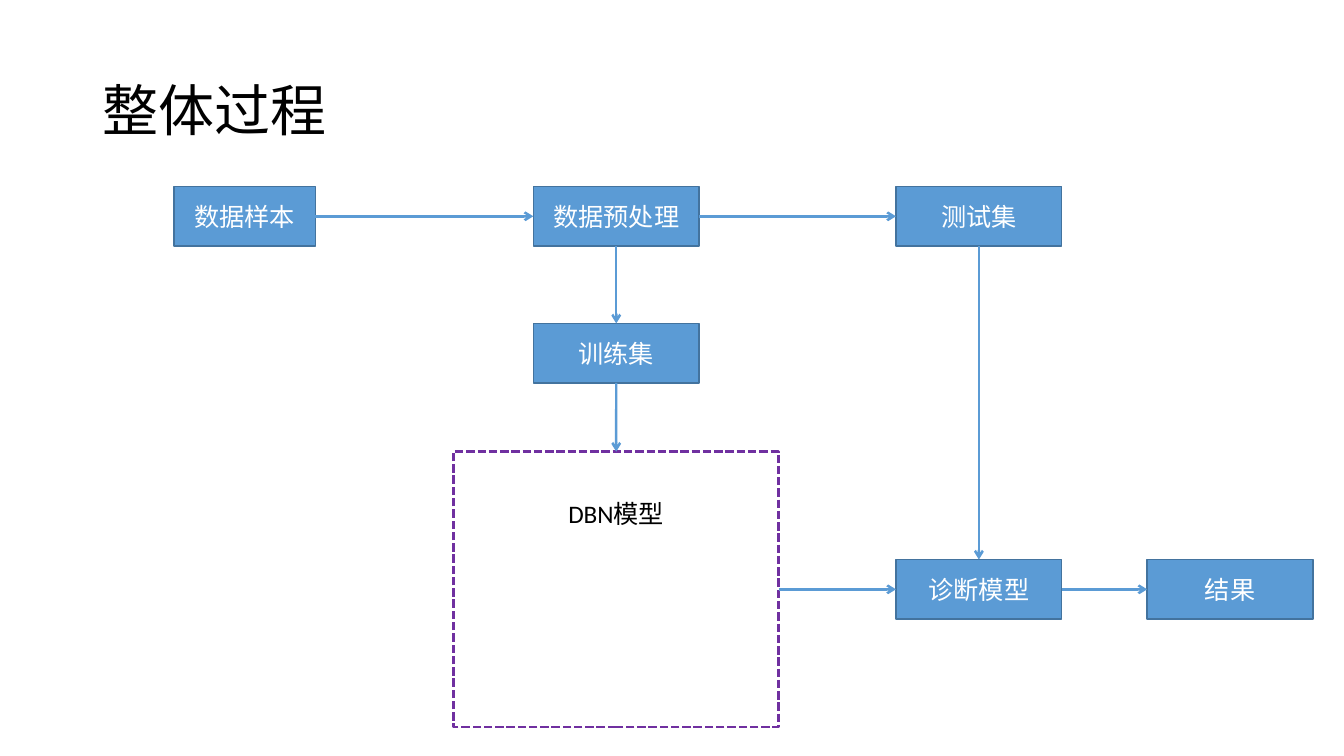
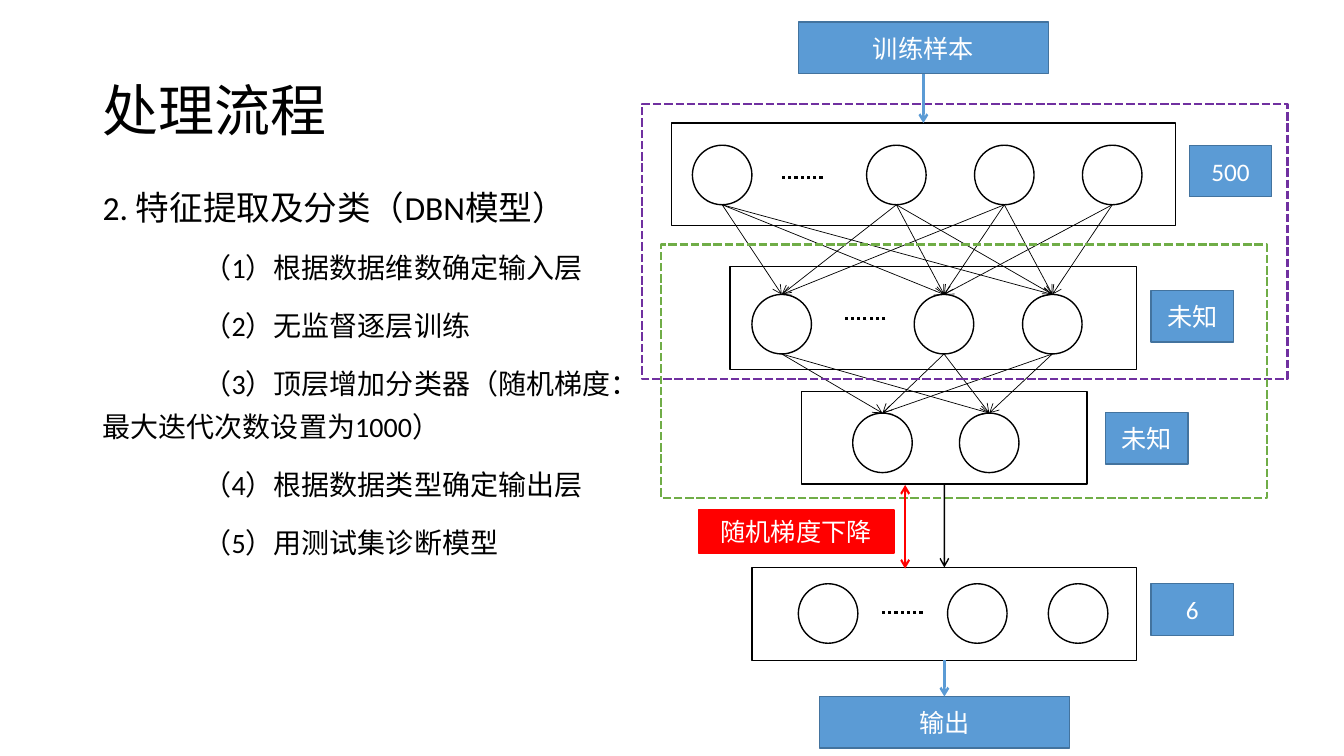
from itertools import product

from lxml import etree
from pptx import Presentation
from pptx import util as u
from pptx.dml.color import RGBColor
from pptx.enum import dml, shapes, text
from pptx.oxml import ns

# Shared look
COLORS = {
    "black": "000000", "white": "FFFFFF", "blue": "5B9BD5", "edge": "43739E",
    "purple": "7030A0", "green": "70AD47", "red": "FF0000",
}
FONT = "Calibri"
TOP, LEFT, BOTTOM, RIGHT = range(4)
CIRCLE = 1.5
DOTS_WIDTH = 1.02
TAG_SIZE = (2.08, 1.3)
TERMINAL_SIZE = (6.3, 1.3)
NODE_SIZE = (4.18, 1.5)

# Network layers: rectangle, circle centres, dots (left, y), tag
LAYERS = [
    dict(area=(16.92, 3.1, 12.7, 2.59), circles=(18.2, 22.59, 25.31, 28.03),
         circle_y=4.41, dots=(19.71, 4.47), tag=("500", 29.97, 3.66)),
    dict(area=(18.4, 6.72, 10.24, 2.59), circles=(19.7, 23.79, 26.52),
         circle_y=8.17, dots=(21.29, 8.03), tag=("未知", 29.01, 7.32)),
    dict(area=(20.2, 9.86, 7.2, 2.34), circles=(22.24, 24.93),
         circle_y=11.16, dots=None, tag=("未知", 27.86, 10.39)),
    dict(area=(18.95, 14.3, 9.7, 2.34), circles=(20.87, 24.63, 27.17),
         circle_y=15.46, dots=(22.23, 15.44), tag=("6", 29.01, 14.71)),
]
STEPS = [
    "（1）根据数据维数确定输入层",
    "（2）无监督逐层训练",
    "（3）顶层增加分类器（随机梯度：最大迭代次数设置为1000）",
    "（4）根据数据类型确定输出层",
    "（5）用测试集诊断模型",
]


def rgb(name):
    return RGBColor.from_string(COLORS[name])


def lengths(values):
    return [u.Cm(value) for value in values]


def style_paragraph(para, size, color="black"):
    para.font.name = FONT
    para.font.size = u.Pt(size)
    para.font.color.rgb = rgb(color)


def style_line(line, color, width, dash=None):
    line.color.rgb = rgb(color)
    line.width = u.Pt(width)
    if dash is not None:
        line.dash_style = dash


# Text
def add_text(page, area, words, size, anchor=text.MSO_ANCHOR.TOP):
    frame = page.shapes.add_textbox(*lengths(area)).text_frame
    frame.word_wrap = True
    frame.vertical_anchor = anchor
    para = frame.paragraphs[0]
    para.text = words
    style_paragraph(para, size)
    return frame


def add_title(page, words, width):
    frame = add_text(page, (2.34, 1.02, width, 3.68), words, 40,
                     text.MSO_ANCHOR.MIDDLE)
    frame.paragraphs[0].line_spacing = 0.9


def add_steps(page, heading, steps):
    frame = add_text(page, (2.34, 4.27, 14.6, 10.39), heading, 24)
    for step in steps:
        para = frame.add_paragraph()
        para.text = step
        style_paragraph(para, 20)
        para._p.get_or_add_pPr().set("indent", str(u.Cm(2.54)))
    for para in frame.paragraphs:
        para.line_spacing = 1.3
        para.space_before = u.Pt(10)


# Shapes
def add_shape(page, area, fill=None, line="black", width=1, dash=None,
              kind=shapes.MSO_SHAPE.RECTANGLE):
    shape = page.shapes.add_shape(kind, *lengths(area))
    shape.shadow.inherit = False
    if fill:
        shape.fill.solid()
        shape.fill.fore_color.rgb = rgb(fill)
    else:
        shape.fill.background()
    style_line(shape.line, line, width, dash)
    return shape


def add_label(page, words, left, top, size=NODE_SIZE, fill="blue", line="edge"):
    box = add_shape(page, (left, top, *size), fill, line)
    box.text_frame.vertical_anchor = text.MSO_ANCHOR.MIDDLE
    para = box.text_frame.paragraphs[0]
    para.text = words
    para.alignment = text.PP_ALIGN.CENTER
    style_paragraph(para, 18, "white")
    return box


def add_frame(page, area, color):
    return add_shape(page, area, line=color, width=2,
                     dash=dml.MSO_LINE.SQUARE_DOT)


# Lines and arrows
def add_line(page, start, end, color="black", width=0.5, dash=None,
             ends=("tailEnd",)):
    line = page.shapes.add_connector(
        shapes.MSO_CONNECTOR.STRAIGHT, *lengths((*start, *end)))
    style_line(line.line, color, width, dash)
    for tag in ends:
        etree.SubElement(line.line._get_or_add_ln(), ns.qn("a:" + tag),
                         type="arrow")
    etree.SubElement(line._element.spPr, ns.qn("a:effectLst"))
    return line


def join(page, source, source_side, target, target_side,
         color="blue", width=1.75):
    arrow = add_line(page, (0, 0), (1, 1), color, width)
    arrow.begin_connect(source, source_side)
    arrow.end_connect(target, target_side)


# Network
def add_layer(page, layer):
    area = add_shape(page, layer["area"])
    for center in layer["circles"]:
        add_shape(page, (center - CIRCLE / 2, layer["circle_y"] - CIRCLE / 2,
                         CIRCLE, CIRCLE),
                  "white", kind=shapes.MSO_SHAPE.OVAL)
    if layer["dots"]:
        left, y = layer["dots"]
        add_line(page, (left + DOTS_WIDTH, y), (left, y), width=2.25,
                 dash=dml.MSO_LINE.ROUND_DOT, ends=())
    add_label(page, *layer["tag"], TAG_SIZE)
    return area


def link_layers(page, upper, lower, skipped=()):
    start_y = upper["circle_y"] + CIRCLE / 2
    end_y = lower["circle_y"] - CIRCLE / 2
    pairs = product(enumerate(upper["circles"]), enumerate(lower["circles"]))
    for (i, start_x), (j, end_x) in pairs:
        if (i, j) not in skipped:
            add_line(page, (start_x, start_y), (end_x, end_y))


# Slides
def build_overview(page):
    add_title(page, "整体过程", 29.2)
    sample = add_label(page, "数据样本", 4.39, 4.7, (3.56, 1.5))
    prepare = add_label(page, "数据预处理", 13.44, 4.7)
    test = add_label(page, "测试集", 22.58, 4.7)
    train = add_label(page, "训练集", 13.44, 8.15)
    diagnosis = add_label(page, "诊断模型", 22.58, 14.1)
    result = add_label(page, "结果", 28.91, 14.1)
    model = add_frame(page, (11.43, 11.38, 8.2, 6.94), "purple")
    caption = add_text(page, (11.43, 12.42, 8.2, 1.02), "DBN模型", 18)
    caption.paragraphs[0].alignment = text.PP_ALIGN.CENTER

    for source, target in [(sample, prepare), (prepare, test),
                           (model, diagnosis), (diagnosis, result)]:
        join(page, source, RIGHT, target, LEFT)
    for source, target in [(prepare, train), (train, model), (test, diagnosis)]:
        join(page, source, BOTTOM, target, TOP)


def build_network(page):
    add_title(page, "处理流程", 14.6)
    add_steps(page, "2. 特征提取及分类（DBN模型）", STEPS)

    # Layers and their links
    areas = [add_layer(page, layer) for layer in LAYERS]
    link_layers(page, LAYERS[0], LAYERS[1], skipped={(3, 0)})
    link_layers(page, LAYERS[1], LAYERS[2])

    # Input, output and training groups
    samples = add_label(page, "训练样本", 20.12, 0.56, TERMINAL_SIZE)
    output = add_label(page, "输出", 20.65, 17.55, TERMINAL_SIZE)
    add_frame(page, (16.18, 2.62, 16.26, 6.93), "purple")
    add_frame(page, (16.66, 6.17, 15.27, 6.38), "green")
    join(page, samples, BOTTOM, areas[0], TOP)
    join(page, areas[2], BOTTOM, areas[3], TOP, "black", 1)
    join(page, areas[3], BOTTOM, output, TOP)

    # Gradient descent
    add_line(page, (22.81, 12.22), (22.81, 14.33), "red", 1.5,
             ends=("headEnd", "tailEnd"))
    add_label(page, "随机梯度下降", 17.6, 12.85, (4.93, 1.09), "red", "red")


def main():
    deck = Presentation()
    deck.slide_width, deck.slide_height = lengths((33.87, 19.05))
    for build in (build_overview, build_network):
        build(deck.slides.add_slide(deck.slide_layouts[6]))
    deck.save("out.pptx")


if __name__ == "__main__":
    main()
